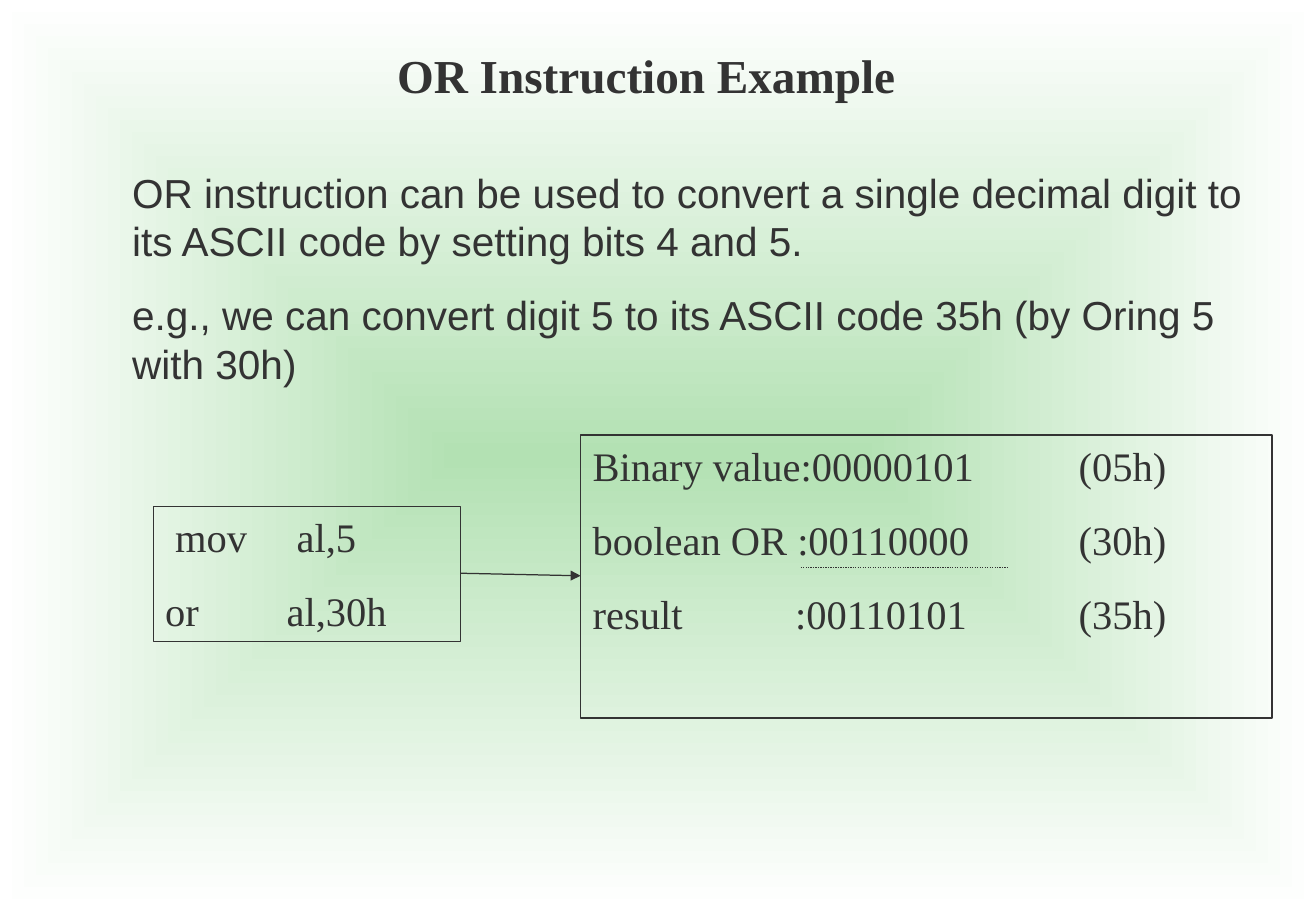
"""Build the slide on the OR instruction example."""
import dataclasses
import typing

import pptx
import pptx.dml.color
import pptx.enum.dml
import pptx.enum.shapes
import pptx.enum.text
import pptx.oxml
import pptx.oxml.ns
import pptx.util

Pt = pptx.util.Pt
RGB = pptx.dml.color.RGBColor
Align = pptx.enum.text.PP_ALIGN
Dash = pptx.enum.dml.MSO_LINE


@dataclasses.dataclass(frozen=True)
class Theme:
    ink: RGB = RGB(0x33, 0x33, 0x33)
    green: RGB = RGB(0xB3, 0xE1, 0xB3)
    white: RGB = RGB(0xFF, 0xFF, 0xFF)
    serif: str = "Times New Roman"
    sans: str = "Arial"
    head: float = 28
    body: float = 24
    gap: float = 15
    line: float = 0.75


THEME = Theme()


@dataclasses.dataclass(frozen=True)
class Block:
    left: float
    top: float
    width: float
    height: float
    lines: tuple[str, ...]
    font: str = THEME.serif
    size: float = THEME.body
    bold: bool = False
    align: Align = Align.LEFT
    frame: bool = False
    tabs: tuple[float, ...] = ()


@dataclasses.dataclass(frozen=True)
class Rule:
    start: tuple[float, float]
    end: tuple[float, float]
    dash: typing.Optional[Dash] = None
    arrow: bool = False


BLOCKS = (
    Block(225, 24, 316, 41, ("OR Instruction Example",),
          size=THEME.head, bold=True, align=Align.CENTER),
    Block(71.28, 95.76, 682.56, 137.5, (
        "OR instruction can be used to convert a single decimal digit to "
        "its ASCII code by setting bits 4 and 5.",
        "e.g., we can convert digit 5 to its ASCII code 35h (by Oring 5 with 30h)",
    ), font=THEME.sans),
    Block(90.8, 300.2, 182.2, 80, (" mov\t al,5", "or\tal,30h"),
          frame=True, tabs=(72,)),
    Block(344.2, 257.8, 409.7, 167.8, (
        "Binary value:00000101\t(05h)",
        "boolean OR :00110000\t(30h)",
        "result\t:00110101\t(35h)",
    ), frame=True, tabs=(120, 288)),
)

RULES = (
    Rule((474.5, 336.2), (597.6, 336.2), dash=Dash.ROUND_DOT),
    Rule((273, 339.8), (344.2, 341.3), arrow=True),
)


def add_node(root: typing.Any, tag: str, **attrs: str) -> typing.Any:
    """Append an XML child with the given attributes."""
    node = pptx.oxml.parse_xml(f"<{tag} {pptx.oxml.ns.nsdecls('a')}/>")
    for key, value in attrs.items():
        node.set(key, value)
    root.append(node)
    return node


def paint(slide: typing.Any) -> None:
    """Fill the slide with a gradient that spreads from its centre."""
    fill = slide.background.fill
    fill.gradient()
    for stop, tint in zip(fill.gradient_stops, (THEME.green, THEME.white)):
        stop.color.rgb = tint
    for stop, place in zip(fill.gradient_stops, (0, 1)):
        stop.position = place
    grad = slide.element.xpath(".//a:gradFill")[0]
    for old in grad.xpath("./a:lin"):
        grad.remove(old)
    shade = add_node(grad, "a:path", path="rect")
    add_node(shade, "a:fillToRect", **dict.fromkeys("ltrb", "50000"))


def style(line: typing.Any) -> None:
    """Give a line the common colour and width."""
    line.color.rgb = THEME.ink
    line.width = Pt(THEME.line)


def add_block(slide: typing.Any, block: Block) -> None:
    """Draw a text block, framed where asked."""
    area = [Pt(n) for n in (block.left, block.top, block.width, block.height)]
    if block.frame:
        shape = slide.shapes.add_shape(
            pptx.enum.shapes.MSO_SHAPE.RECTANGLE, *area)
        shape.shadow.inherit = False
        shape.fill.background()
        style(shape.line)
    else:
        shape = slide.shapes.add_textbox(*area)
    text = shape.text_frame
    text.word_wrap = True
    text.vertical_anchor = pptx.enum.text.MSO_ANCHOR.TOP
    for i, words in enumerate(block.lines):
        para = text.add_paragraph() if i else text.paragraphs[0]
        para.alignment = block.align
        if block.tabs:
            stops = add_node(para._p.get_or_add_pPr(), "a:tabLst")
            for tab in block.tabs:
                add_node(stops, "a:tab", pos=str(int(Pt(tab))), algn="l")
        if i:
            para.space_before = Pt(THEME.gap)
        run = para.add_run()
        run.text = words
        run.font.name = block.font
        run.font.size = Pt(block.size)
        run.font.bold = block.bold
        run.font.color.rgb = THEME.ink


def add_rule(slide: typing.Any, rule: Rule) -> None:
    """Draw a straight line with its dash or arrowhead."""
    ends = [Pt(n) for n in rule.start + rule.end]
    link = slide.shapes.add_connector(
        pptx.enum.shapes.MSO_CONNECTOR.STRAIGHT, *ends)
    style(link.line)
    if rule.dash is not None:
        link.line.dash_style = rule.dash
    if rule.arrow:
        add_node(link.line._get_or_add_ln(), "a:tailEnd", type="triangle")
    add_node(link._element.spPr, "a:effectLst")


def main() -> None:
    """Build and save the deck."""
    deck = pptx.Presentation()
    deck.slide_width, deck.slide_height = Pt(780), Pt(540)
    slide = deck.slides.add_slide(deck.slide_layouts[6])
    paint(slide)
    for block in BLOCKS:
        add_block(slide, block)
    for rule in RULES:
        add_rule(slide, rule)
    deck.save("out.pptx")


if __name__ == "__main__":
    main()
